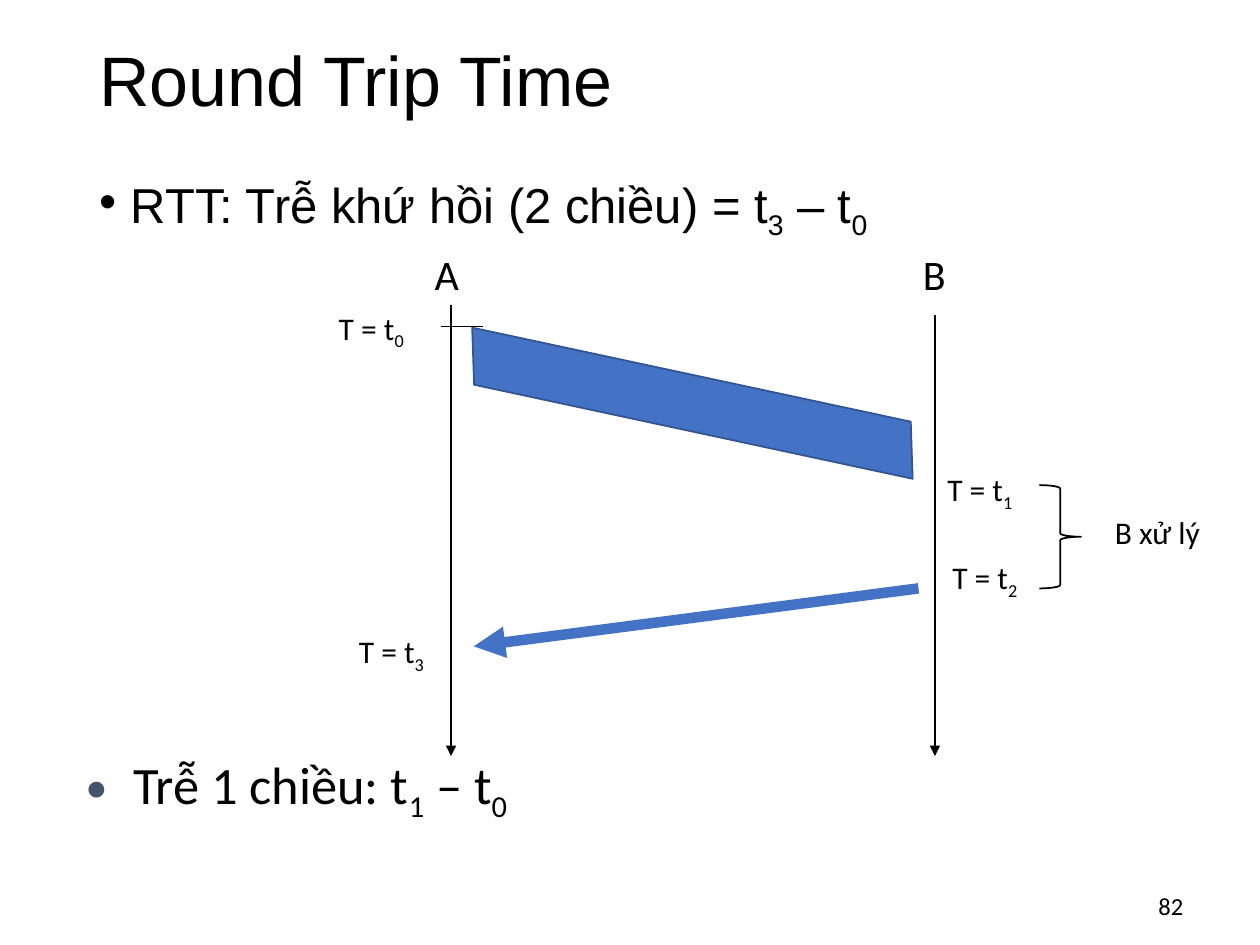
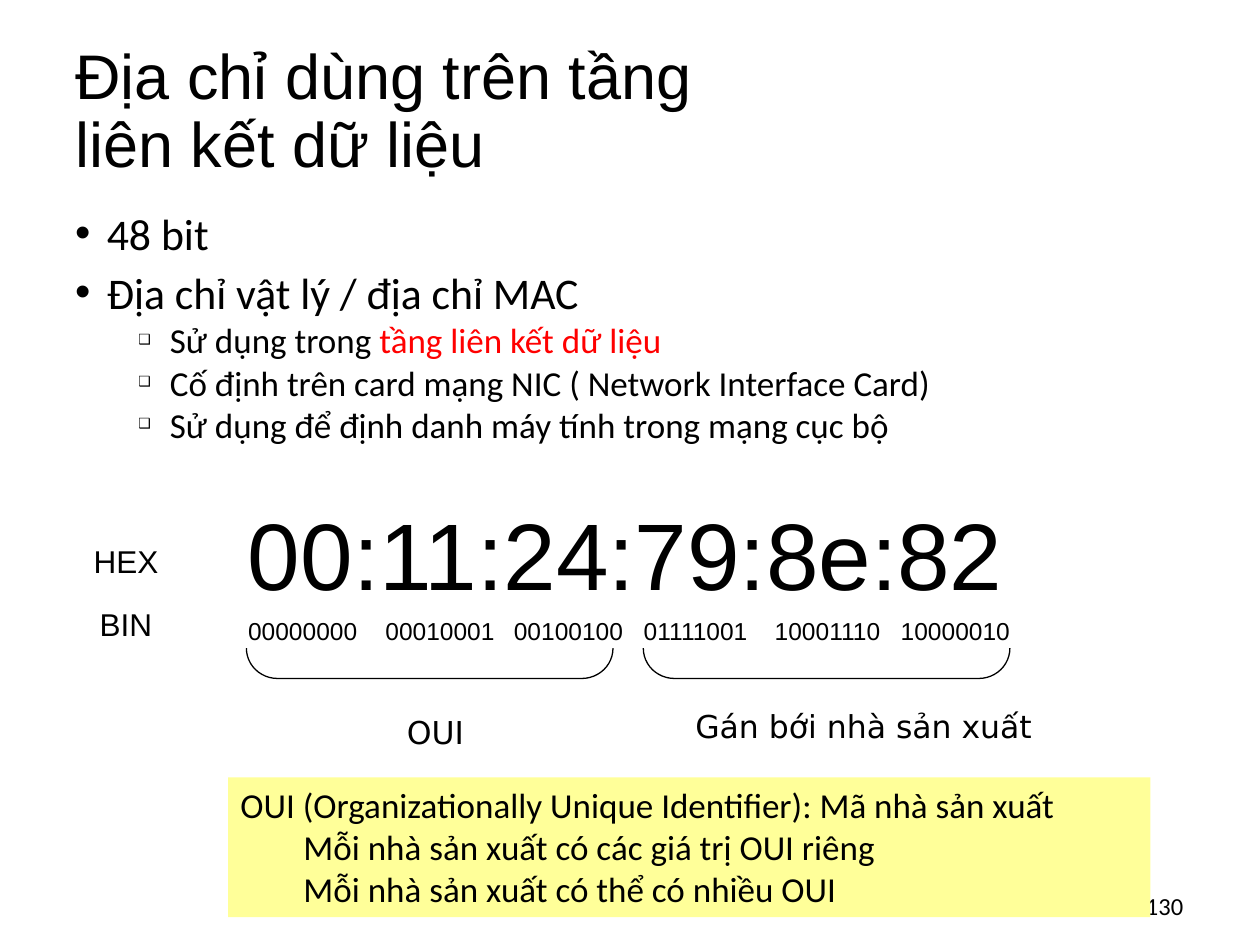
from lxml import etree
from pptx import Presentation, util as u
from pptx.dml.color import RGBColor
from pptx.enum import shapes, text
from pptx.oxml.ns import qn

PX = 9144  # EMU; 100 px to the inch
BLACK, RED, BLUE, NAVY = "000000", "FF0000", "4472C4", "325491"
SLATE, YELLOW = "44546A", "FFFF99"
HEADING, BODY, CAPTION = "Arial", "Calibri", "DejaVu Sans"
LEFT, CENTER, RIGHT = text.PP_ALIGN.LEFT, text.PP_ALIGN.CENTER, text.PP_ALIGN.RIGHT
TOP, MIDDLE = text.MSO_ANCHOR.TOP, text.MSO_ANCHOR.MIDDLE


def px(*lengths):
    return [u.Emu(length * PX) for length in lengths]


def color(hex_code):
    return RGBColor.from_string(hex_code)


def add_span(para, words, size, face, hue, subscript=False):
    span = para.add_run()
    span.text = words
    span.font.size, span.font.name = u.Pt(size), face
    span.font.color.rgb = color(hue)
    if subscript:
        span.font._element.set("baseline", "-25000")


def write(para, words, size, face=BODY, hue=BLACK):
    """Append words to the paragraph; the character after each _ is a subscript."""
    first, *others = words.split("_")
    add_span(para, first, size, face, hue)
    for other in others:
        add_span(para, other[0], size, face, hue, subscript=True)
        if other[1:]:
            add_span(para, other[1:], size, face, hue)


def add_box(page, box, anchor=TOP, wrap=True):
    frame = page.shapes.add_textbox(*px(*box)).text_frame
    frame.word_wrap, frame.vertical_anchor = wrap, anchor
    return frame


def add_label(page, box, words, size=18, face=BODY, align=LEFT, anchor=TOP, wrap=True):
    para = add_box(page, box, anchor, wrap).paragraphs[0]
    para.alignment = align
    write(para, words, size, face)
    return para


def set_bullet(para, mark, margin, hang, percent=100, hue=BLACK):
    props = para._p.get_or_add_pPr()
    props.set("marL", str(margin * PX))
    props.set("indent", str(-hang * PX))
    tint = etree.SubElement(props, qn("a:buClr"))
    etree.SubElement(tint, qn("a:srgbClr"), val=hue)
    etree.SubElement(props, qn("a:buSzPct"), val=str(percent * 1000))
    etree.SubElement(props, qn("a:buFont"), typeface=HEADING)
    etree.SubElement(props, qn("a:buChar"), char=mark)


def set_tabs(para, stops):
    tabs = etree.SubElement(para._p.get_or_add_pPr(), qn("a:tabLst"))
    for stop in stops:
        etree.SubElement(tabs, qn("a:tab"), pos=str(stop * PX), algn="l")


def add_shape(page, preset, box, fill=None, line=None, width=1):
    shape = page.shapes.add_shape(preset, *px(*box))
    shape.shadow.inherit = False
    if fill:
        shape.fill.solid()
        shape.fill.fore_color.rgb = color(fill)
    else:
        shape.fill.background()
    if line:
        shape.line.color.rgb, shape.line.width = color(line), u.Pt(width)
    else:
        shape.line.fill.background()
    return shape


def add_line(page, start, end, hue=BLACK, width=1, arrow=True):
    line = page.shapes.add_connector(shapes.MSO_CONNECTOR.STRAIGHT, *px(*start, *end))
    line.line.color.rgb, line.line.width = color(hue), u.Pt(width)
    if arrow:
        etree.SubElement(line.line._get_or_add_ln(), qn("a:tailEnd"), type="triangle")
    etree.SubElement(line._element.spPr, qn("a:effectLst"))


def add_page(deck, title, title_box, title_size, number):
    page = deck.slides.add_slide(deck.slide_layouts[6])
    frame = add_box(page, title_box, MIDDLE)
    para = frame.paragraphs[0]
    para.text = title
    para.line_spacing = 0.9
    for span in para.runs:
        span.font.size, span.font.name = u.Pt(title_size), HEADING
        span.font.color.rgb = color(BLACK)
    add_label(page, (886, 699, 63, 40), number, 14, align=RIGHT, anchor=MIDDLE)
    return page


def add_timing_diagram(page, left, top):
    def at(x, y):
        return left + x, top + y

    for name, label_x, line_x, line_y in (("A", 58, 99, 50), ("B", 445, 483, 58)):
        add_line(page, at(line_x, line_y), at(line_x, 408))
        add_label(page, (*at(label_x, 0), 75, 50), name, 24, align=CENTER)

    message = add_shape(page, shapes.MSO_SHAPE.PARALLELOGRAM, (*at(107, 106), 367, 44), BLUE, NAVY)
    message.rotation = 192.1
    message._element.spPr.find(qn("a:xfrm")).set("flipV", "1")
    add_line(page, at(91, 67), at(124, 67), width=0.5, arrow=False)
    add_line(page, at(470, 275), at(117, 321), BLUE, 6)

    add_shape(page, shapes.MSO_SHAPE.RIGHT_BRACE, (*at(566, 193), 33, 82), line=BLACK)
    for words, x, y in (("T = t_0", 0, 48), ("T = t_1", 483, 176), ("T = t_2", 487, 246),
                        ("T = t_3", 16, 305), ("B xử lý", 616, 210)):
        add_label(page, (*at(x, y), 117, 40), words)


def add_address_bullets(page, box):
    frame = add_box(page, box)
    bullets = [
        (0, ["48 bit"]),
        (0, ["Địa chỉ vật lý / địa chỉ MAC"]),
        (1, ["Sử dụng trong ", "tầng liên kết dữ liệu"]),
        (1, ["Cố định trên card mạng NIC ( Network Interface Card)"]),
        (1, ["Sử dụng để định danh máy tính trong mạng cục bộ"]),
    ]
    styles = [("•", 25, 100, 25, 10), ("❑", 75, 40, 20, 5)]
    for index, (level, parts) in enumerate(bullets):
        mark, margin, percent, size, gap = styles[level]
        para = frame.add_paragraph() if index else frame.paragraphs[0]
        para.level, para.line_spacing = level, 0.8
        if index:
            para.space_before = u.Pt(gap)
        set_bullet(para, mark, margin, 25, percent)
        for words, hue in zip(parts, (BLACK, RED)):
            write(para, words, size, hue=hue)


def add_mac_address(page, left, top):
    def at(x, y):
        return left + x, top + y

    add_label(page, (*at(187, 0), 624, 100), "00:11:24:79:8e:82", 54, HEADING, wrap=False)
    octets = ["00000000", "00010001", "00100100", "01111001", "10001110", "10000010"]
    para = add_box(page, (*at(187, 95), 628, 33)).paragraphs[0]
    set_tabs(para, (109, 211, 314, 418, 518))
    write(para, "\t".join(octets), 14, HEADING)

    for name, y in (("HEX", 36), ("BIN", 86)):
        add_label(page, (*at(0, y), 200, 40), name, face=HEADING, align=CENTER)

    for x in (329, 644):
        bracket = add_shape(page, shapes.MSO_SHAPE.RIGHT_BRACKET, (*at(x, -8), 24, 291),
                            line=BLACK, width=0.75)
        bracket.adjustments[0] = 1.03
        bracket.rotation = 90
    add_label(page, (*at(313, 172), 69, 40), "OUI", face=CAPTION, wrap=False)
    add_label(page, (*at(542, 167), 288, 40), "Gán bới nhà sản xuất", face=CAPTION, wrap=False)


def add_oui_note(page, box):
    frame = add_shape(page, shapes.MSO_SHAPE.RECTANGLE, box, YELLOW).text_frame
    frame.word_wrap, frame.vertical_anchor = True, TOP
    lines = ["OUI (Organizationally Unique Identifier): Mã nhà sản xuất",
             "Mỗi nhà sản xuất có các giá trị OUI riêng",
             "Mỗi nhà sản xuất có thể có nhiều OUI"]
    for index, words in enumerate(lines):
        para = frame.add_paragraph() if index else frame.paragraphs[0]
        para.alignment = LEFT
        if index:
            para.level = 1
            para._p.get_or_add_pPr().set("marL", str(50 * PX))
        write(para, words, 20)


def build_round_trip(deck):
    page = add_page(deck, "Round Trip Time", (69, 26, 862, 81), 40, "82")
    para = add_box(page, (69, 134, 862, 541)).paragraphs[0]
    para.line_spacing = 0.9
    set_bullet(para, "•", 25, 25)
    write(para, "RTT: Trễ khứ hồi (2 chiều) = t_3 – t_0", 28, HEADING)

    add_timing_diagram(page, 259, 192)

    para = add_box(page, (58, 592, 900, 75)).paragraphs[0]
    set_bullet(para, "●", 38, 38, 70, SLATE)
    write(para, "Trễ 1 chiều: t_1 – t_0", 30)


def build_link_address(deck):
    page = add_page(deck, "Địa chỉ dùng trên tầng\vliên kết dữ liệu",
                    (50, 38, 825, 103), 36, "130")
    add_address_bullets(page, (50, 167, 900, 195))
    add_mac_address(page, 0, 389)
    add_oui_note(page, (181, 617, 732, 111))


def main():
    deck = Presentation()
    deck.slide_width, deck.slide_height = px(1000, 750)
    build_round_trip(deck)
    build_link_address(deck)
    deck.save("out.pptx")


if __name__ == "__main__":
    main()
